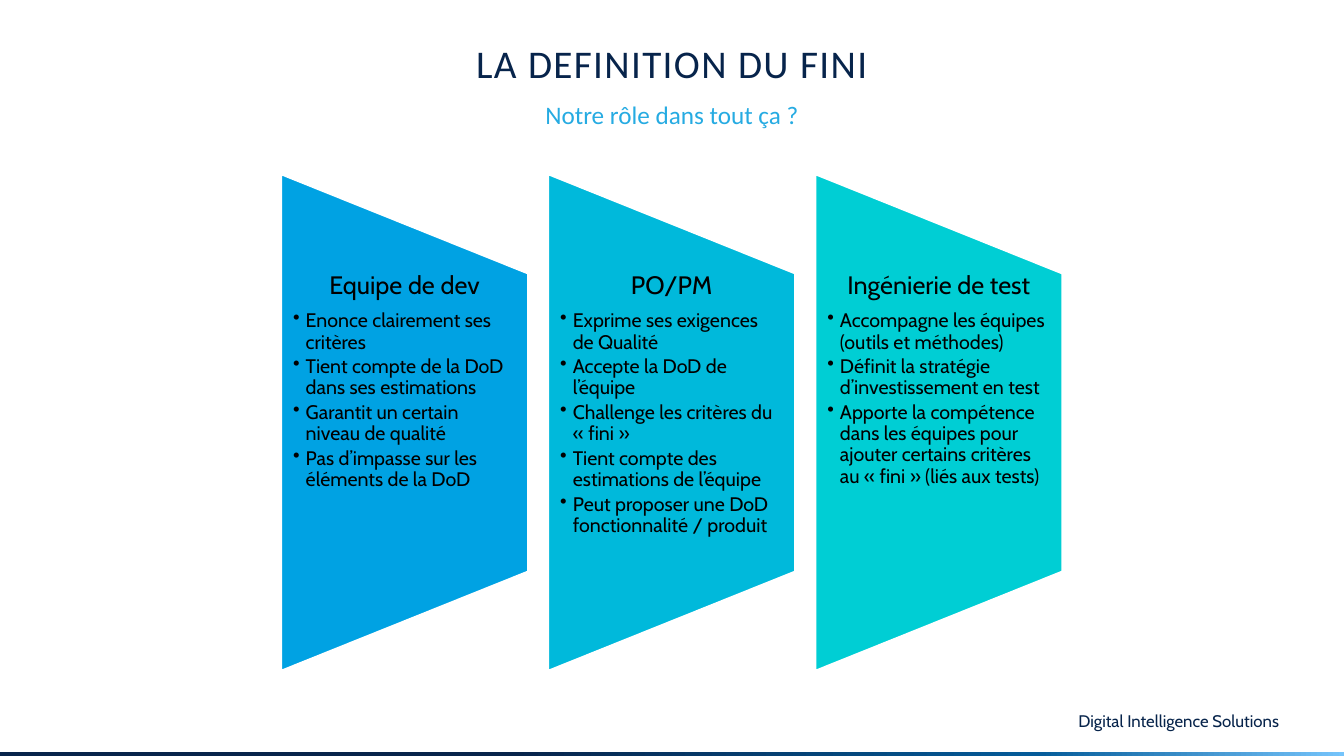
from copy import deepcopy

from lxml.etree import SubElement
from pptx import Presentation
from pptx.dml.color import RGBColor
from pptx.enum.shapes import MSO_SHAPE
from pptx.enum.text import MSO_ANCHOR, PP_ALIGN
from pptx.oxml.ns import qn
from pptx.util import Pt


def rgb(color):
    return RGBColor.from_string(color)


def add_text(tf, text, size=14, font="Cabin", color="000000", align=PP_ALIGN.LEFT,
             line=1.0, after=0, spacing=0, bullet=False):
    p = tf.paragraphs[0] if not tf.text else tf.add_paragraph()
    p.alignment, p.line_spacing, p.space_after = align, line, Pt(after)
    r = p.add_run()
    r.text = text
    r.font.size, r.font.name = Pt(size), font
    r.font.color.rgb = rgb(color)
    if spacing:
        r._r.get_or_add_rPr().set("spc", str(spacing * 100))
    if bullet:
        pPr = p._p.get_or_add_pPr()
        pPr.set("marL", str(Pt(9)))
        pPr.set("indent", str(Pt(-9)))
        SubElement(pPr, qn("a:buChar"), char="•")


prs = Presentation()
prs.slide_width, prs.slide_height = Pt(960), Pt(540)
s = prs.slides.add_slide(prs.slide_layouts[6])

# Gradient strip along the bottom edge
strip = s.shapes.add_shape(MSO_SHAPE.RECTANGLE, Pt(0), Pt(537), Pt(960), Pt(3))
strip.shadow.inherit = False
strip.line.fill.background()
strip.fill.gradient()
strip.fill.gradient_angle = 0
gs_list = strip._element.spPr.find(qn("a:gradFill")).find(qn("a:gsLst"))
gs_list.append(deepcopy(gs_list[-1]))
stops = [(0.38, "07244B"), (0.77, "045B99"), (1, "75C4FB")]
for stop, (position, color) in zip(strip.fill.gradient_stops, stops):
    stop.position = position
    stop.color.rgb = rgb(color)

# Footer, title and subtitle
CENTER, RIGHT = PP_ALIGN.CENTER, PP_ALIGN.RIGHT
headings = [
    ("Digital Intelligence Solutions", (435.6, 504, 485.3, 21.6),
     dict(size=12, color="07244B", align=RIGHT)),
    ("LA DEFINITION DU FINI", (48, 21.6, 864, 46.8),
     dict(size=28, font="Calibri", color="07244B", align=CENTER, spacing=1)),
    ("Notre rôle dans tout ça ?", (48, 68.4, 864, 28.8),
     dict(size=18, font="Calibri", color="26ABE2", align=CENTER, line=0.9)),
]
for text, box, style in headings:
    tf = s.shapes.add_textbox(*map(Pt, box)).text_frame
    tf.word_wrap = True
    tf.vertical_anchor = MSO_ANCHOR.MIDDLE
    add_text(tf, text, **style)

# Three role panels: a trapezoid turned on its side, with text over it
roles = [
    ("Equipe de dev", "00A2E3", [
        "Enonce clairement ses critères",
        "Tient compte de la DoD dans ses estimations",
        "Garantit un certain niveau de qualité",
        "Pas d’impasse sur les éléments de la DoD"]),
    ("PO/PM", "00B9DB", [
        "Exprime ses exigences de Qualité",
        "Accepte la DoD de l’équipe",
        "Challenge les critères du « fini »",
        "Tient compte des estimations de l’équipe",
        "Peut proposer une DoD fonctionnalité / produit"]),
    ("Ingénierie de test", "00CED4", [
        "Accompagne les équipes (outils et méthodes)",
        "Définit la stratégie d’investissement en test",
        "Apporte la compétence dans les équipes pour ajouter certains critères "
        "au « fini » (liés aux tests)"]),
]
LEFT, STEP, WIDTH, HEIGHT, MIDDLE = 200.5, 190.8, 177, 355.6, 301.8
TEXT_HEIGHT = HEIGHT * 0.6
for i, (role, color, duties) in enumerate(roles):
    x = LEFT + i * STEP
    panel = s.shapes.add_shape(MSO_SHAPE.FLOWCHART_MANUAL_OPERATION,
                               Pt(x + (WIDTH - HEIGHT) / 2), Pt(MIDDLE - WIDTH / 2),
                               Pt(HEIGHT), Pt(WIDTH))
    panel.rotation = 270
    panel.shadow.inherit = False
    panel.fill.solid()
    panel.fill.fore_color.rgb = rgb(color)
    panel.line.color.rgb = rgb("FFFFFF")
    panel.line.width = Pt(2)

    tf = s.shapes.add_textbox(Pt(x), Pt(MIDDLE - TEXT_HEIGHT / 2),
                              Pt(WIDTH), Pt(TEXT_HEIGHT)).text_frame
    tf.word_wrap = True
    tf.margin_left = tf.margin_right = Pt(8.9)
    tf.margin_top = tf.margin_bottom = Pt(0)
    add_text(tf, role, size=18, align=CENTER, line=0.9, after=7.5)
    for duty in duties:
        add_text(tf, duty, line=0.9, after=2.5, bullet=True)

prs.save("out.pptx")
